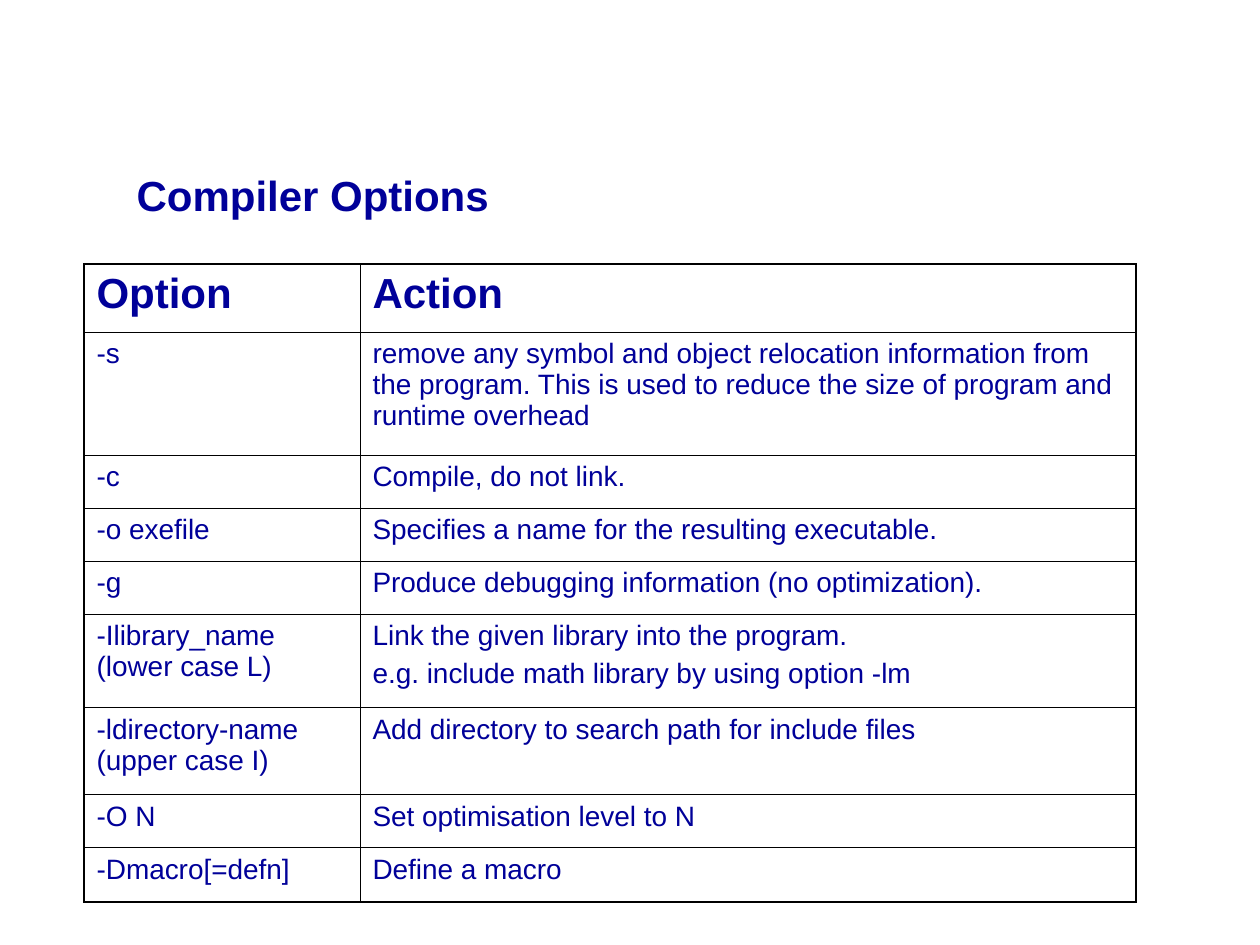
from pptx import Presentation
from pptx.dml.color import RGBColor
from pptx.enum.text import MSO_ANCHOR, PP_ALIGN
from pptx.oxml.ns import qn
from pptx.util import Emu, Pt
from lxml.etree import SubElement

NAVY = RGBColor(0x00, 0x00, 0x99)
BLACK = RGBColor(0x00, 0x00, 0x00)
OUTER, INNER = Pt(1.08), Pt(0.45)


def px(length):
    return Emu(round(length * 914400 / 126))


def format_paragraph(paragraph, size, bold):
    paragraph.alignment = PP_ALIGN.LEFT
    paragraph.font.name = "Arial"
    paragraph.font.size = Pt(size)
    paragraph.font.bold = bold
    paragraph.font.color.rgb = NAVY


prs = Presentation()
prs.slide_width, prs.slide_height = px(1260), px(945)
slide = prs.slides.add_slide(prs.slide_layouts[5])

# Title
title = slide.shapes.title
title.left, title.top, title.width, title.height = px(124), px(145), px(1071), px(100)
title.text_frame.text = "Compiler Options"
title.text_frame.vertical_anchor = MSO_ANCHOR.MIDDLE
format_paragraph(title.text_frame.paragraphs[0], 24, True)

# Options: row height, option, action
options = [
    (68, "Option", "Action"),
    (123, "-s", "remove any symbol and object relocation information from the program. "
                "This is used to reduce the size of program and runtime overhead"),
    (53, "-c", "Compile, do not link."),
    (53, "-o exefile", "Specifies a name for the resulting executable."),
    (53, "-g", "Produce debugging information (no optimization)."),
    (94, "-Ilibrary_name (lower case L)",
     "Link the given library into the program.\n"
     "e.g. include math library by using option -lm"),
    (87, "-ldirectory-name (upper case I)", "Add directory to search path for include files"),
    (53, "-O N", "Set optimisation level to N"),
    (54, "-Dmacro[=defn]", "Define a macro"),
]
column_widths = [276, 776]
last_row, last_col = len(options) - 1, len(column_widths) - 1

# Table
table = slide.shapes.add_table(
    len(options), len(column_widths), px(84), px(264),
    px(sum(column_widths)), px(sum(height for height, *_ in options))).table
table.first_row = False
table.horz_banding = False
for column, width in zip(table.columns, column_widths):
    column.width = px(width)

for r, (height, *texts) in enumerate(options):
    table.rows[r].height = px(height)
    for c, text in enumerate(texts):
        cell = table.cell(r, c)
        cell.text = text
        for paragraph in cell.text_frame.paragraphs:
            format_paragraph(paragraph, 24 if r == 0 else 16, r == 0)
            paragraph.space_before = Pt(6 if r == 0 else 4)
        # "-s" and the "-c" row have even spacing above and below
        if (r, c) in [(1, 0), (2, 0), (2, 1)]:
            paragraph.space_before = paragraph.space_after = Pt(5)

        # Borders: heavier around the outside
        properties = cell._tc.get_or_add_tcPr()
        for side, outside in [("L", c == 0), ("R", c == last_col),
                              ("T", r == 0), ("B", r == last_row)]:
            border = SubElement(properties, qn(f"a:ln{side}"), w=str(OUTER if outside else INNER))
            fill = SubElement(border, qn("a:solidFill"))
            SubElement(fill, qn("a:srgbClr"), val=str(BLACK))
        cell.fill.background()

prs.save("out.pptx")
